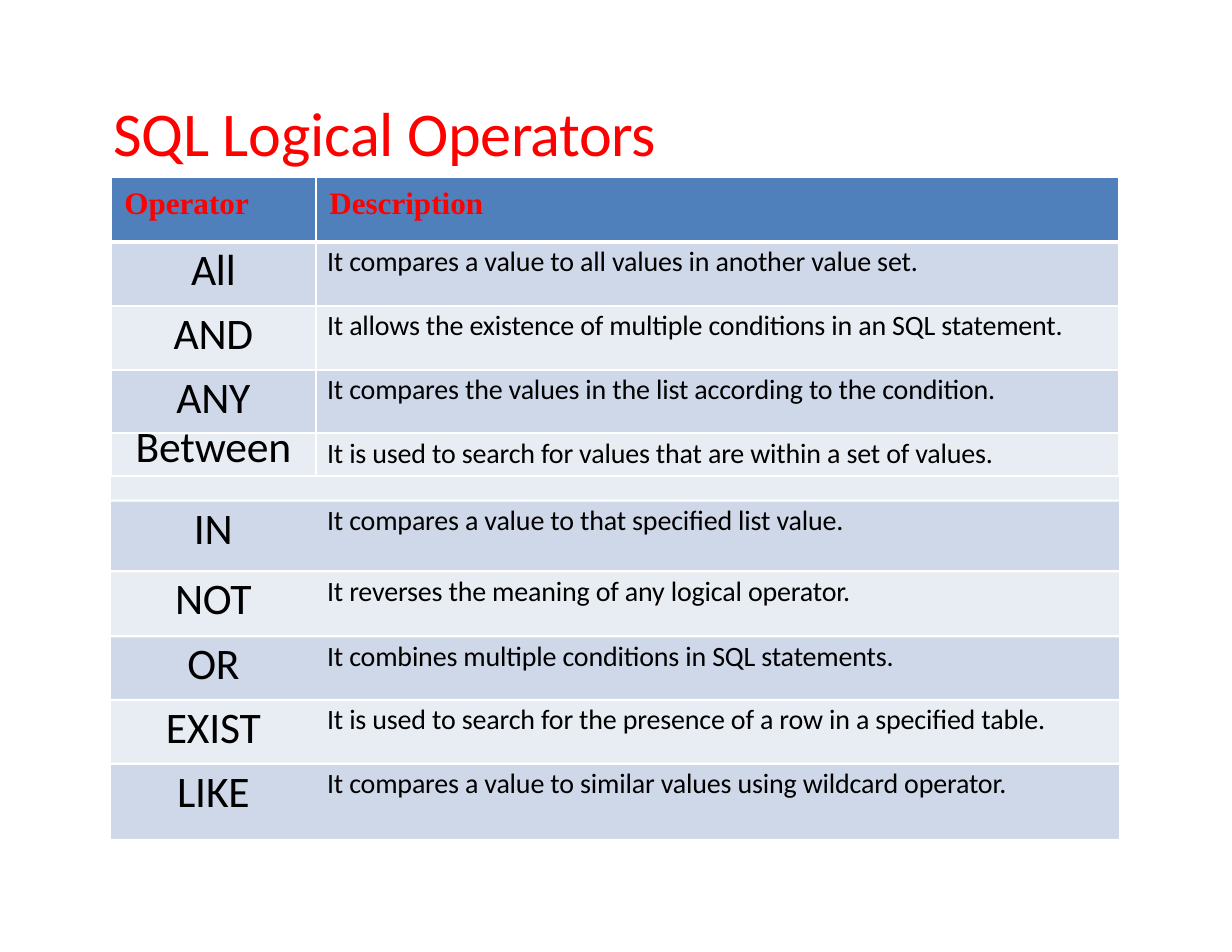
from dataclasses import dataclass
from itertools import accumulate

from lxml import etree
from pptx import Presentation
from pptx.dml.color import RGBColor
from pptx.enum import shapes, text
from pptx.oxml import ns
from pptx.util import Inches, Pt

COLORS = {"red": "FF0000", "black": "000000", "white": "FFFFFF",
          "header": "4F80BC", "dark": "CFD8E8", "light": "E8EDF4"}
TABLE_LEFT, TABLE_TOP = 0.99, 1.58
COLUMN_WIDTHS = [1.83, 7.17]
ROW_HEIGHTS = [0.58, 0.57, 0.57, 0.57, 0.38, 0.22, 0.63, 0.58, 0.57, 0.57, 0.68]
SPACER_ROW = 5
NO_TABLE_STYLE = "{2D5ABB26-0587-4C30-8999-92F81FD0307C}"


@dataclass
class Style:
    font: str
    size: float
    color: str
    bold: bool = False
    tracking: float = -0.1


@dataclass
class Operator:
    name: str
    description: str


TITLE = Style("Calibri", 40, "red")
HEADING = Style("Times New Roman", 20, "red", True, 0)
NAME = Style("Calibri", 28, "black")
DESCRIPTION = Style("Calibri", 18, "black")

OPERATORS = [
    Operator("All", "It compares a value to all values in another value set."),
    Operator("AND", "It allows the existence of multiple conditions in an SQL statement."),
    Operator("ANY", "It compares the values in the list according to the condition."),
    Operator("Between", "It is used to search for values that are within a set of values."),
    Operator("IN", "It compares a value to that specified list value."),
    Operator("NOT", "It reverses the meaning of any logical operator."),
    Operator("OR", "It combines multiple conditions in SQL statements."),
    Operator("EXIST", "It is used to search for the presence of a row in a specified table."),
    Operator("LIKE", "It compares a value to similar values using wildcard operator."),
]


def rgb(name: str) -> RGBColor:
    return RGBColor.from_string(COLORS[name])


def apply(target, values: dict) -> None:
    for attribute, value in values.items():
        setattr(target, attribute, value)


def add_run(paragraph, words: str, style: Style) -> None:
    run = paragraph.add_run()
    run.text = words
    apply(run.font, {"name": style.font, "size": Pt(style.size), "bold": style.bold})
    run.font.color.rgb = rgb(style.color)
    run.font._element.set("spc", str(round(style.tracking * 100)))


def set_borders(cell, widths: dict[str, float]) -> None:
    """Draw white borders; the sides come in the order L, R, T, B."""
    properties = cell._tc.get_or_add_tcPr()
    for side, width in widths.items():
        line = etree.SubElement(properties, ns.qn(f"a:ln{side}"), w=str(Pt(width)))
        fill = etree.SubElement(line, ns.qn("a:solidFill"))
        etree.SubElement(fill, ns.qn("a:srgbClr"), val=COLORS["white"])


def fill_cell(cell, fill: str, top: float) -> None:
    apply(cell, {"margin_left": 0, "margin_right": 0, "margin_bottom": 0,
                 "margin_top": Inches(top), "vertical_anchor": text.MSO_ANCHOR.TOP})
    cell.fill.solid()
    cell.fill.fore_color.rgb = rgb(fill)


def write_cell(cell, words: str, style: Style, indent: float = 0):
    paragraph = cell.text_frame.paragraphs[0]
    add_run(paragraph, words, style)
    if indent:
        paragraph._p.get_or_add_pPr().set("marL", str(Inches(indent)))
    else:
        paragraph.alignment = text.PP_ALIGN.CENTER
    return paragraph


def add_title(slide) -> None:
    frame = slide.shapes.add_textbox(Inches(1), Inches(0.83), Inches(4.93), Inches(0.69)).text_frame
    apply(frame, {"margin_left": Inches(0.01), "margin_right": 0, "margin_bottom": 0,
                  "margin_top": Inches(0.01), "word_wrap": True})
    for words, tracking in (("SQL Logical", -0.1), (" Operators", -0.3)):
        add_run(frame.paragraphs[0], words, Style(TITLE.font, TITLE.size, TITLE.color, False, tracking))


def add_operator_table(slide) -> None:
    table = slide.shapes.add_table(
        len(ROW_HEIGHTS), len(COLUMN_WIDTHS), Inches(TABLE_LEFT), Inches(TABLE_TOP),
        Inches(sum(COLUMN_WIDTHS)), Inches(sum(ROW_HEIGHTS))).table
    table._tbl.tblPr.find(ns.qn("a:tableStyleId")).text = NO_TABLE_STYLE
    table.horz_banding = False
    for column, width in zip(table.columns, COLUMN_WIDTHS):
        column.width = Inches(width)

    # Cell borders above the spacer row, banded fills everywhere
    for index, height in enumerate(ROW_HEIGHTS):
        table.rows[index].height = Inches(height)
        band = "header" if index == 0 else "dark" if index in (1, 3, 6, 8, 10) else "light"
        for column, cell in enumerate(table.rows[index].cells):
            if index < SPACER_ROW:
                set_borders(cell, {"L": 1.5, "R": 1.5, "T": 3 if index == 1 else 1.5,
                                   "B": 3 if index == 0 else 1.5})
            top = 0.09 if index == 0 else 0 if index == SPACER_ROW else (0.02, 0.03)[column]
            fill_cell(cell, band, top)

    # Header
    for column, heading in enumerate(("Operator", "Description")):
        write_cell(table.cell(0, column), heading, HEADING, 0.12)

    # Spacer row: small type keeps it low
    for cell in table.rows[SPACER_ROW].cells:
        etree.SubElement(cell.text_frame.paragraphs[0]._p, ns.qn("a:endParaRPr"), sz="800")
    table.cell(SPACER_ROW, 0).merge(table.cell(SPACER_ROW, 1))

    # Operators
    operator_rows = [row for row in range(1, len(ROW_HEIGHTS)) if row != SPACER_ROW]
    for row, operator in zip(operator_rows, OPERATORS):
        name = write_cell(table.cell(row, 0), operator.name, NAME)
        if row == SPACER_ROW - 1:
            name.line_spacing = Pt(24.9)
        write_cell(table.cell(row, 1), operator.description, DESCRIPTION, 0.1)


def add_row_rules(slide) -> None:
    """White rules under the spacer row and every row after it."""
    bottoms = list(accumulate(ROW_HEIGHTS, initial=TABLE_TOP))[SPACER_ROW + 1:]
    for bottom in bottoms:
        rule = slide.shapes.add_shape(
            shapes.MSO_SHAPE.RECTANGLE, Inches(TABLE_LEFT), Inches(bottom - 0.01),
            Inches(9.02), Inches(0.02))
        rule.shadow.inherit = False
        rule.fill.solid()
        rule.fill.fore_color.rgb = rgb("white")
        rule.line.fill.background()


def main() -> None:
    deck = Presentation()
    apply(deck, {"slide_width": Inches(11), "slide_height": Inches(8.5)})
    slide = deck.slides.add_slide(deck.slide_layouts[6])
    add_title(slide)
    add_operator_table(slide)
    add_row_rules(slide)
    deck.save("out.pptx")


if __name__ == "__main__":
    main()
